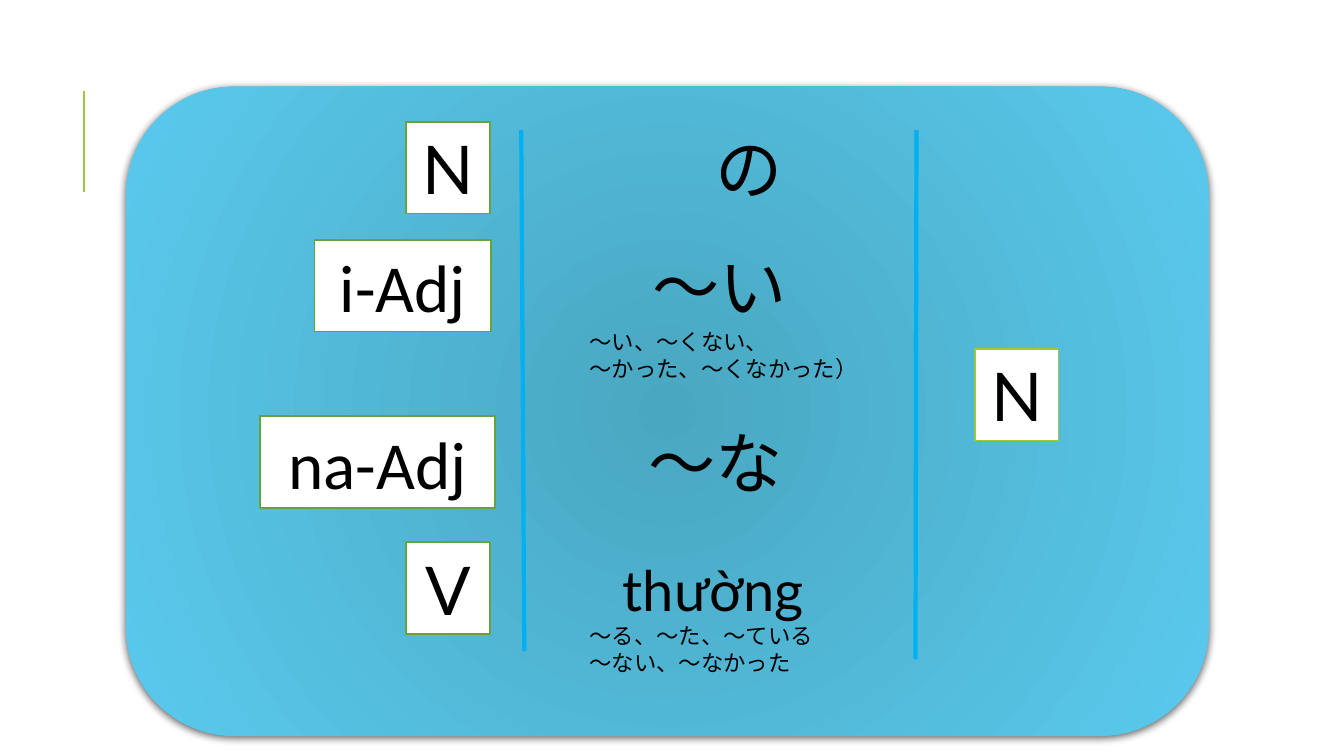
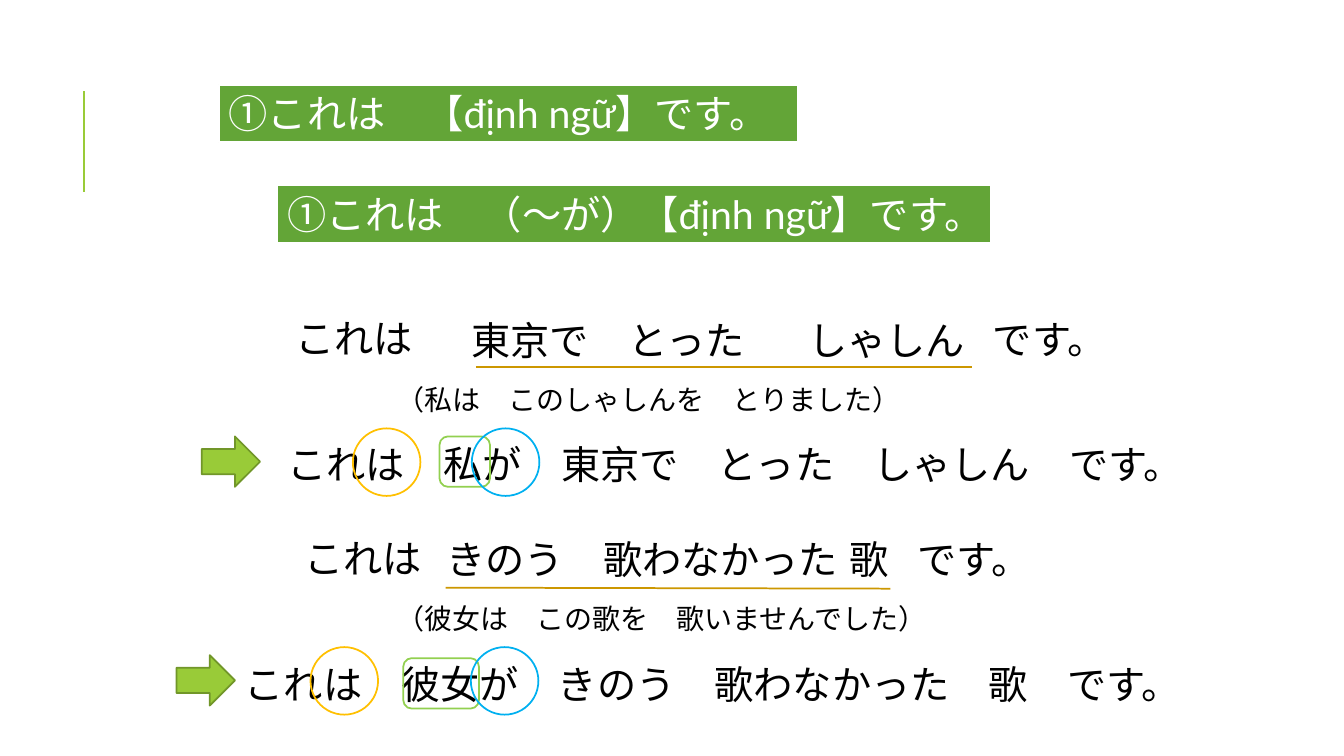
from dataclasses import dataclass

from lxml.etree import SubElement
from pptx import Presentation
from pptx.dml.color import RGBColor
from pptx.enum.shapes import MSO_CONNECTOR, MSO_SHAPE
from pptx.enum.text import MSO_ANCHOR, MSO_AUTO_SIZE, PP_ALIGN
from pptx.oxml.ns import qn
from pptx.util import Inches, Pt


@dataclass(frozen=True)
class Theme:
    # Colours
    text: str = "000000"
    white: str = "FFFFFF"
    green: str = "63A537"
    lime: str = "99CB38"
    lime_edge: str = "719629"
    frame: str = "92D050"
    blue: str = "00B0F0"
    amber: str = "FFC000"
    underline: str = "CC9700"
    panel_inner: str = "49A7C1"
    panel_outer: str = "5AC9ED"
    # Fonts and type sizes
    font: str = "Lato"
    label_font: str = "Calibri"
    huge: int = 48
    large: int = 40
    body: int = 28
    note: int = 20
    small: int = 16
    # Line widths
    thin: float = 1.25
    medium: float = 1.5
    thick: float = 3


THEME = Theme()


def rgb(value):
    return RGBColor.from_string(value)


class SlideBuilder:
    """Holds the deck, its style and the current page."""

    def __init__(self, theme):
        self.theme = theme
        self.deck = Presentation()
        self.deck.slide_width = Inches(13.33)
        self.deck.slide_height = Inches(7.5)
        self.page = None

    def new_page(self):
        self.page = self.deck.slides.add_slide(self.deck.slide_layouts[6])
        self.line((0.83, 1.9), (0.83, 0.9), self.theme.lime, self.theme.medium)

    def line(self, start, end, color, width):
        line = self.page.shapes.add_connector(
            MSO_CONNECTOR.STRAIGHT, *[Inches(v) for v in (*start, *end)])
        line.line.color.rgb = rgb(color)
        line.line.width = Pt(width)
        SubElement(line._element.spPr, qn("a:effectLst"))

    def shape(self, kind, at, fill=None, edge=None):
        box = self.page.shapes.add_shape(kind, *[Inches(v) for v in at])
        box.shadow.inherit = False
        if fill:
            box.fill.solid()
            box.fill.fore_color.rgb = rgb(fill)
        else:
            box.fill.background()
        if edge:
            box.line.color.rgb = rgb(edge)
            box.line.width = Pt(self.theme.thin)
        else:
            box.line.fill.background()
        return box

    def set_text(self, box, lines, size, color, font=None, align=PP_ALIGN.LEFT):
        frame = box.text_frame
        frame.word_wrap = True
        frame.auto_size = MSO_AUTO_SIZE.SHAPE_TO_FIT_TEXT
        for index, line in enumerate(lines):
            para = frame.add_paragraph() if index else frame.paragraphs[0]
            para.alignment = align
            span = para.add_run()
            span.text = line
            span.font.name = font or self.theme.font
            span.font.size = Pt(size)
            span.font.color.rgb = rgb(color)

    def text(self, at, *lines, size=THEME.body, color=THEME.text):
        box = self.page.shapes.add_textbox(*[Inches(v) for v in at])
        self.set_text(box, lines, size, color)
        return box

    def label(self, at, word, edge, font=None):
        theme = self.theme
        box = self.shape(MSO_SHAPE.RECTANGLE, at, theme.white, edge)
        box.text_frame.vertical_anchor = MSO_ANCHOR.MIDDLE
        self.set_text(box, [word], theme.huge, theme.text, font, PP_ALIGN.CENTER)

    def bar(self, at, line):
        theme = self.theme
        box = self.text(at, line, color=theme.white)
        box.fill.solid()
        box.fill.fore_color.rgb = rgb(theme.green)
        box.line.color.rgb = rgb(theme.white)
        box.line.width = Pt(theme.medium)

    def panel(self, at):
        box = self.shape(MSO_SHAPE.ROUNDED_RECTANGLE, at)
        # Radial gradient from the centre
        box.fill.gradient()
        colors = (self.theme.panel_inner, self.theme.panel_outer)
        for stop, color, position in zip(box.fill.gradient_stops, colors, (0, 1)):
            stop.color.rgb = rgb(color)
            stop.position = position
        properties = box._element.spPr
        gradient = properties.find(qn("a:gradFill"))
        gradient.remove(gradient.find(qn("a:lin")))
        circle = SubElement(gradient, qn("a:path"), {"path": "circle"})
        SubElement(circle, qn("a:fillToRect"), dict.fromkeys("ltrb", "50000"))
        # Soft shadow below
        shadow = SubElement(properties.find(qn("a:effectLst")), qn("a:outerShdw"), {
            "blurRad": str(Pt(6)), "dist": str(Pt(2)),
            "dir": "5400000", "rotWithShape": "0"})
        tint = SubElement(shadow, qn("a:srgbClr"), {"val": self.theme.text})
        SubElement(tint, qn("a:alpha"), {"val": "60000"})


def build_grammar_page(deck):
    theme = deck.theme
    deck.new_page()
    deck.panel((1.25, 0.86, 10.74, 6.44))

    # Word classes on the left, the noun they modify on the right
    height = 0.91
    for left, top, width, word, edge, font in (
        (4.03, 1.21, 0.83, "N", theme.green, theme.font),
        (9.67, 3.46, 0.83, "N", theme.lime, theme.font),
        (3.12, 2.38, 1.75, "i-Adj", theme.green, theme.label_font),
        (2.58, 4.13, 2.33, "na-Adj", theme.green, theme.label_font),
        (4.03, 5.38, 0.83, "V", theme.green, theme.font),
    ):
        deck.label((left, top, width, height), word, edge, font)

    # Column dividers
    deck.line((5.17, 1.29), (5.2, 6.46), theme.blue, theme.thick)
    deck.line((9.09, 1.29), (9.08, 6.54), theme.blue, theme.thick)

    # Endings and their forms
    deck.text((7, 1.21, 0.83, height), "の", size=theme.huge)
    deck.text((6.37, 2.38, 1.75, height), "～い", size=theme.huge)
    deck.text((6.33, 4.13, 1.67, height), "～な", size=theme.huge)
    deck.text((6.08, 5.46, 2.17, 0.77), "thường", size=theme.large)
    for top, forms in (
        (3.21, ("～い、～くない、", "～かった、～くなかった）")),
        (6.12, ("～る、～た、～ている", "～ない、～なかった")),
    ):
        deck.text((5.75, top, 3.17, 0.64), *forms, size=theme.small)


def build_example_page(deck):
    theme = deck.theme
    height = 0.57
    deck.new_page()

    # Sentence patterns
    deck.bar((2.17, 0.84, 5.75, height), "①これは　【định ngữ】です。")
    deck.bar((2.75, 1.84, 7.08, height), "①これは　（～が）【định ngữ】です。")

    # Pieces of the two plain sentences
    for left, top, width, words in (
        (2.83, 3.07, 1.75, "これは"),
        (4.58, 3.09, 3.17, "東京で　とった"),
        (7.92, 3.09, 1.92, "しゃしん"),
        (9.75, 3.08, 1.75, "です。"),
        (2.92, 5.25, 1.75, "これは"),
        (4.33, 5.26, 4.17, "きのう　歌わなかった"),
        (8.33, 5.26, 0.75, "歌"),
        (9, 5.26, 1.75, "です。"),
    ):
        deck.text((left, top, width, height), words)
    deck.line((4.72, 3.64), (9.64, 3.64), theme.underline, theme.thin)
    deck.line((4.42, 5.83), (8.83, 5.84), theme.underline, theme.thin)

    # Notes in brackets
    for top, note in ((3.75, "（私は　このしゃしんを　とりました）"),
                      (5.92, "（彼女は　この歌を　歌いませんでした）")):
        deck.text((3.83, top, 6, 0.44), note, size=theme.note)

    # Combined sentences
    deck.text((2.75, 4.32, 8.92, height),
              "これは　私が　東京で　とった　しゃしん　です。")
    deck.text((2.33, 6.5, 9.33, height),
              "これは　彼女が　きのう　歌わなかった　歌　です。")

    # Arrows, subject frames and particle rings
    for arrow, frame, ring_top, topic_left, subject_left in (
        ((2, 4.33), (4.36, 4.33, 0.5, 0.5), 4.25, 3.5, 4.68),
        ((1.75, 6.5), (4, 6.53, 0.75, 0.5), 6.42, 3.08, 4.67),
    ):
        deck.shape(MSO_SHAPE.RIGHT_ARROW, (*arrow, 0.58, 0.5),
                   theme.lime, theme.lime_edge)
        deck.shape(MSO_SHAPE.ROUNDED_RECTANGLE, frame, edge=theme.frame)
        for left, color in ((subject_left, theme.blue), (topic_left, theme.amber)):
            deck.shape(MSO_SHAPE.OVAL, (left, ring_top, 0.67, 0.67), edge=color)


def main():
    builder = SlideBuilder(THEME)
    build_grammar_page(builder)
    build_example_page(builder)
    builder.deck.save("out.pptx")


if __name__ == "__main__":
    main()
